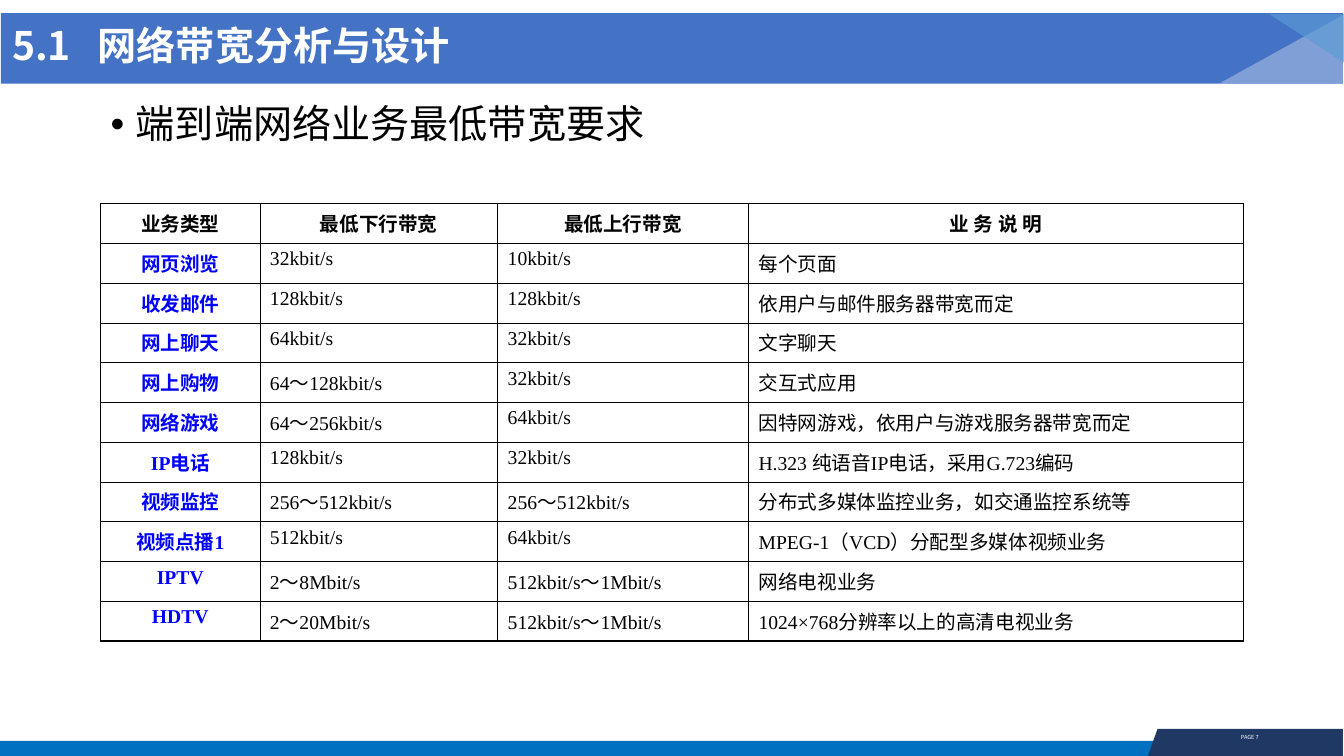
from dataclasses import dataclass

from lxml import etree
from pptx import Presentation, util as u
from pptx.dml import color
from pptx.enum import shapes, text
from pptx.oxml import ns

PX = 9144  # EMU per px, 100 px to the inch
COLOURS = {
    "strip": "0070C0", "tab": "203864", "header": "4472C4", "pale": "8FAADC",
    "sky": "5B9BD5", "white": "FFFFFF", "black": "000000", "service": "0000FF",
}
SANS, SERIF, BODY = "Noto Sans CJK SC", "Times New Roman", "Calibri"
CENTRE, LEFT = text.PP_ALIGN.CENTER, text.PP_ALIGN.LEFT
RECTANGLE = shapes.MSO_SHAPE.RECTANGLE
TRIANGLE = shapes.MSO_SHAPE.ISOSCELES_TRIANGLE


@dataclass
class Area:
    left: int
    top: int
    width: int
    height: int

    def emu(self) -> list[int]:
        return [v * PX for v in (self.left, self.top, self.width, self.height)]


@dataclass
class Decoration:
    kind: int
    area: Area
    colour: str
    opacity: int = 100
    flips: tuple[str, ...] = ()


@dataclass
class Style:
    size: int
    font: str
    colour: str
    bold: bool = False
    align: int = LEFT
    line_spacing: float = 1.0


FOOTER_STRIP = Decoration(RECTANGLE, Area(0, 735, 1333, 18), "strip")
HEADER = [
    Decoration(RECTANGLE, Area(1, 13, 1332, 70), "header"),
    Decoration(TRIANGLE, Area(1210, 15, 123, 68), "pale", 82, ("flipH",)),
    Decoration(TRIANGLE, Area(1260, 14, 74, 48), "sky", 67, ("flipH", "flipV")),
]
PAGE_TAB = [(1149, 723), (1333, 723), (1333, 752), (1139, 751)]

TITLE_STYLE = Style(28, SANS, "white", True, line_spacing=0.9)
TOPIC_STYLE = Style(28, BODY, "black", line_spacing=0.9)
PAGE_STYLE = Style(4, SANS, "white", align=CENTRE)
HEAD_STYLE = Style(14, SERIF, "black", True, CENTRE)
SERVICE_STYLE = Style(14, SERIF, "service", True, CENTRE)
VALUE_STYLE = Style(14, SERIF, "black")

TABLE = Area(100, 202, 1134, 434)
COLUMN_WIDTHS = [158, 236, 249, 491]
ROWS = [
    ("业务类型", "最低下行带宽", "最低上行带宽", "业 务 说 明"),
    ("网页浏览", "32kbit/s", "10kbit/s", "每个页面"),
    ("收发邮件", "128kbit/s", "128kbit/s", "依用户与邮件服务器带宽而定"),
    ("网上聊天", "64kbit/s", "32kbit/s", "文字聊天"),
    ("网上购物", "64～128kbit/s", "32kbit/s", "交互式应用"),
    ("网络游戏", "64～256kbit/s", "64kbit/s", "因特网游戏，依用户与游戏服务器带宽而定"),
    ("IP电话", "128kbit/s", "32kbit/s", "H.323 纯语音IP电话，采用G.723编码"),
    ("视频监控", "256～512kbit/s", "256～512kbit/s", "分布式多媒体监控业务，如交通监控系统等"),
    ("视频点播1", "512kbit/s", "64kbit/s", "MPEG-1（VCD）分配型多媒体视频业务"),
    ("IPTV", "2～8Mbit/s", "512kbit/s～1Mbit/s", "网络电视业务"),
    ("HDTV", "2～20Mbit/s", "512kbit/s～1Mbit/s", "1024×768分辨率以上的高清电视业务"),
]
INNER, SIDE, END = 0.45, 1.08, 0.96  # border widths in points


def rgb(name: str) -> color.RGBColor:
    return color.RGBColor.from_string(COLOURS[name])


def assign(target, values: dict) -> None:
    for name, value in values.items():
        setattr(target, name, value)


def paint(shape, colour: str, opacity: int = 100) -> None:
    shape.shadow.inherit = False
    shape.line.fill.background()
    shape.fill.solid()
    shape.fill.fore_color.rgb = rgb(colour)
    if opacity < 100:
        tint = shape.fill._xPr.find(".//" + ns.qn("a:srgbClr"))
        etree.SubElement(tint, ns.qn("a:alpha"), val=str(opacity * 1000))


def decorate(page, item: Decoration) -> None:
    shape = page.shapes.add_shape(item.kind, *item.area.emu())
    if item.kind == TRIANGLE:
        shape.adjustments[0] = 0
    for flip in item.flips:
        shape._element.spPr.find(ns.qn("a:xfrm")).set(flip, "1")
    paint(shape, item.colour, item.opacity)


def write(para, words: str, style: Style) -> None:
    assign(para, {"alignment": style.align, "line_spacing": style.line_spacing})
    span = para.add_run()
    span.text = words
    assign(span.font, {"size": u.Pt(style.size), "name": style.font, "bold": style.bold})
    span.font.color.rgb = rgb(style.colour)
    etree.SubElement(span._r.get_or_add_rPr(), ns.qn("a:ea"), typeface=SANS)


def add_page_tab(page) -> None:
    builder = page.shapes.build_freeform(*PAGE_TAB[0], scale=PX)
    builder.add_line_segments(PAGE_TAB[1:], close=True)
    paint(builder.convert_to_shape(), "tab")
    box = page.shapes.add_textbox(*Area(1209, 723, 63, 18).emu())
    write(box.text_frame.paragraphs[0], "PAGE 7", PAGE_STYLE)


def place_title(page) -> None:
    title = page.shapes.title
    title._element.getparent().append(title._element)  # in front of the header
    left, top, width, height = Area(2, 16, 945, 63).emu()
    assign(title, {"left": left, "top": top, "width": width, "height": height})
    assign(title.text_frame, {"vertical_anchor": text.MSO_ANCHOR.MIDDLE,
                              "auto_size": text.MSO_AUTO_SIZE.NONE, "word_wrap": True})
    para = title.text_frame.paragraphs[0]
    stops = etree.SubElement(para._p.get_or_add_pPr(), ns.qn("a:tabLst"))
    etree.SubElement(stops, ns.qn("a:tab"), pos=str(85 * PX), algn="l")
    write(para, "5.1\t网络带宽分析与设计", TITLE_STYLE)


def add_topic(page) -> None:
    box = page.shapes.add_textbox(*Area(100, 99, 957, 591).emu())
    box.text_frame.word_wrap = True
    para = box.text_frame.paragraphs[0]
    props = para._p.get_or_add_pPr()
    props.set("marL", str(25 * PX))
    props.set("indent", str(-25 * PX))
    etree.SubElement(props, ns.qn("a:buFont"), typeface="Arial")
    etree.SubElement(props, ns.qn("a:buChar"), char="•")
    write(para, "端到端网络业务最低带宽要求", TOPIC_STYLE)


def add_borders(cell, widths: dict[str, float]) -> None:
    props = cell._tc.get_or_add_tcPr()
    for index, (side, width) in enumerate(widths.items()):
        line = etree.Element(ns.qn(f"a:ln{side}"), w=str(u.Pt(width)))
        fill = etree.SubElement(line, ns.qn("a:solidFill"))
        etree.SubElement(fill, ns.qn("a:srgbClr"), val=COLOURS["black"])
        props.insert(index, line)


def add_bandwidth_table(page) -> None:
    last_row, last_column = len(ROWS) - 1, len(COLUMN_WIDTHS) - 1
    frame = page.shapes.add_table(len(ROWS), len(COLUMN_WIDTHS), *TABLE.emu())
    table = frame.table
    assign(table, {"first_row": False, "horz_banding": False})
    for column, width in zip(table.columns, COLUMN_WIDTHS):
        column.width = width * PX
    for r, row in enumerate(ROWS):
        table.rows[r].height = TABLE.height * PX // len(ROWS)
        for c, words in enumerate(row):
            cell = table.cell(r, c)
            cell.fill.background()
            add_borders(cell, {"L": INNER if c else SIDE,
                               "R": SIDE if c == last_column else INNER,
                               "T": INNER if r else END,
                               "B": END if r == last_row else INNER})
            style = HEAD_STYLE if r == 0 else VALUE_STYLE if c else SERVICE_STYLE
            write(cell.text_frame.paragraphs[0], words, style)


def main() -> None:
    deck = Presentation()
    assign(deck, {"slide_width": 1334 * PX, "slide_height": 750 * PX})
    page = deck.slides.add_slide(deck.slide_layouts.get_by_name("Title Only"))
    decorate(page, FOOTER_STRIP)
    add_page_tab(page)
    for item in HEADER:
        decorate(page, item)
    place_title(page)
    add_topic(page)
    add_bandwidth_table(page)
    deck.save("out.pptx")


if __name__ == "__main__":
    main()
